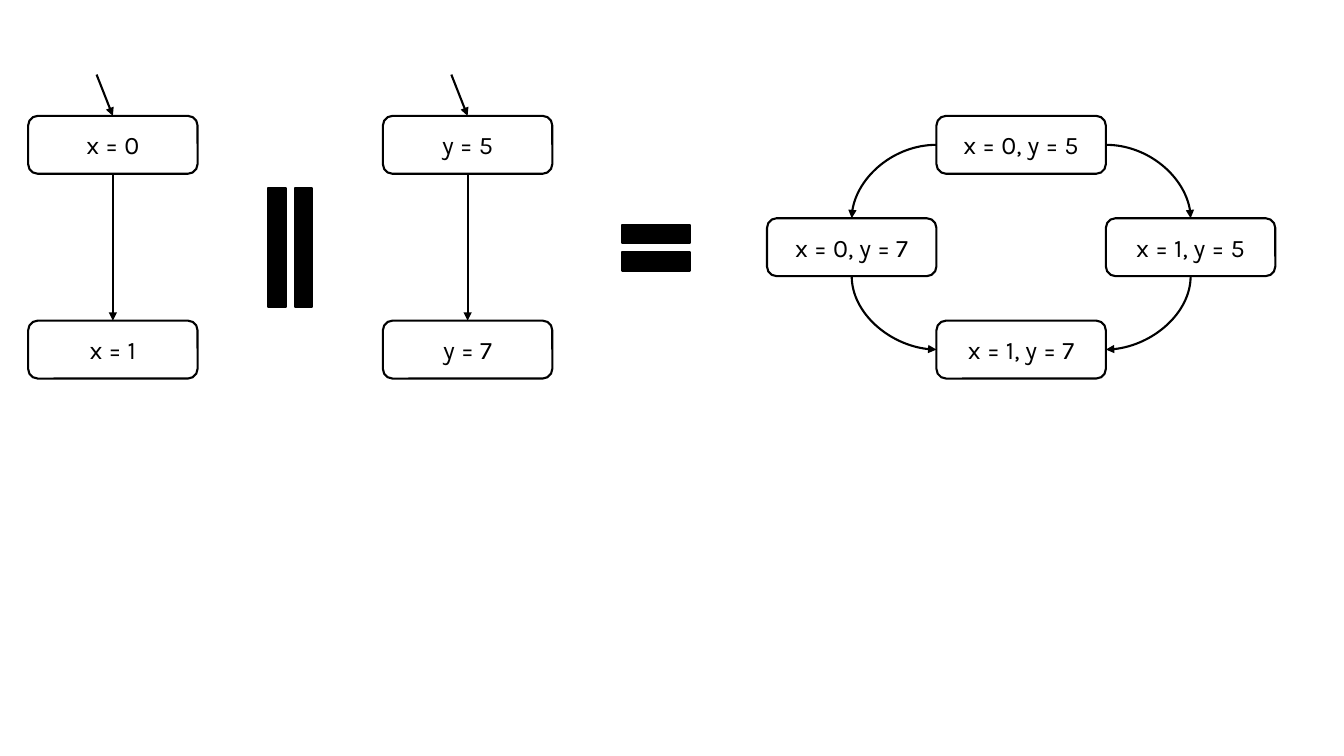
"""Draw two small transition systems and their parallel composition."""
import dataclasses
import typing

import pptx
import pptx.dml.color
import pptx.enum.shapes
import pptx.enum.text
import pptx.oxml
import pptx.oxml.ns
import pptx.util

Cm = pptx.util.Cm
Shapes = pptx.enum.shapes.MSO_SHAPE
Connectors = pptx.enum.shapes.MSO_CONNECTOR

COLORS = {"ink": "000000", "paper": "FFFFFF"}
FONT_FORMAT = {"name": "Karla", "size": pptx.util.Pt(18)}
FRAME_FORMAT = {
    "word_wrap": True,
    "vertical_anchor": pptx.enum.text.MSO_ANCHOR.MIDDLE,
}
SLIDE_FORMAT = {"slide_width": Cm(33.87), "slide_height": Cm(19.05)}
BOX_WIDTH, BOX_HEIGHT = 4.27, 1.46
TOP_ROW, ROW_STEP = 2.92, 2.58
X_LEFT, Y_LEFT, PRODUCT_LEFT = 0.71, 9.65, 23.6
ENTRY_SHIFT, ENTRY_RISE = 0.41, 1.04
TOP, LEFT, BOTTOM, RIGHT = range(4)


@dataclasses.dataclass(frozen=True)
class State:
    label: str
    left: float
    row: int


@dataclasses.dataclass(frozen=True)
class Operator:
    left: float
    top: float
    width: float
    height: float
    rotation: float


@dataclasses.dataclass(frozen=True)
class Transition:
    begin: str
    begin_side: int
    end: str
    end_side: int
    curved: bool = True
    arrow: str = "tailEnd"


STATES = [
    State("x = 0", X_LEFT, 0),
    State("x = 1", X_LEFT, 2),
    State("y = 5", Y_LEFT, 0),
    State("y = 7", Y_LEFT, 2),
    State("x = 0, y = 5", PRODUCT_LEFT, 0),
    State("x = 0, y = 7", PRODUCT_LEFT - BOX_WIDTH, 1),
    State("x = 1, y = 5", PRODUCT_LEFT + BOX_WIDTH, 1),
    State("x = 1, y = 7", PRODUCT_LEFT, 2),
]
INITIAL_STATES = ["x = 0", "y = 5"]
OPERATORS = [
    Operator(5.28, 5.28, 4.06, 1.91, 90),
    Operator(15.37, 5.26, 2.34, 1.96, 0),
]
TRANSITIONS = [
    Transition("x = 0", BOTTOM, "x = 1", TOP, curved=False),
    Transition("y = 5", BOTTOM, "y = 7", TOP, curved=False),
    Transition("x = 0, y = 5", LEFT, "x = 0, y = 7", TOP),
    Transition("x = 0, y = 5", RIGHT, "x = 1, y = 5", TOP),
    Transition("x = 1, y = 7", LEFT, "x = 0, y = 7", BOTTOM, arrow="headEnd"),
    Transition("x = 1, y = 7", RIGHT, "x = 1, y = 5", BOTTOM, arrow="headEnd"),
]


def color(name: str) -> pptx.dml.color.RGBColor:
    """Return a named colour."""
    return pptx.dml.color.RGBColor.from_string(COLORS[name])


def apply_format(target: typing.Any, values: dict[str, typing.Any]) -> None:
    """Set each format value on the target."""
    for name, value in values.items():
        setattr(target, name, value)


def style_line(line: typing.Any) -> None:
    """Give a line the common ink and width."""
    line.color.rgb = color("ink")
    line.width = pptx.util.Pt(1.5)


def add_solid(slide: typing.Any, kind: typing.Any, place: list[float], fill: str) -> typing.Any:
    """Add a filled and outlined preset shape."""
    shape = slide.shapes.add_shape(kind, *map(Cm, place))
    shape.shadow.inherit = False
    shape.fill.solid()
    shape.fill.fore_color.rgb = color(fill)
    style_line(shape.line)
    return shape


def add_state(slide: typing.Any, state: State) -> typing.Any:
    """Add a labelled state box."""
    place = [state.left, TOP_ROW + state.row * ROW_STEP, BOX_WIDTH, BOX_HEIGHT]
    box = add_solid(slide, Shapes.ROUNDED_RECTANGLE, place, "paper")
    apply_format(box.text_frame, FRAME_FORMAT)
    para = box.text_frame.paragraphs[0]
    para.alignment = pptx.enum.text.PP_ALIGN.CENTER
    span = para.add_run()
    span.text = state.label
    apply_format(span.font, FONT_FORMAT)
    span.font.color.rgb = color("ink")
    return box


def add_operator(slide: typing.Any, operator: Operator) -> None:
    """Add a pair of bars as an operator sign."""
    place = [operator.left, operator.top, operator.width, operator.height]
    sign = add_solid(slide, Shapes.MATH_EQUAL, place, "ink")
    sign.rotation = operator.rotation


def style_arrow(connector: typing.Any, arrow: str) -> None:
    """Give a connector its line and arrowhead and drop its shadow."""
    style_line(connector.line)
    properties = connector.element.spPr
    head = pptx.oxml.parse_xml(
        f'<a:{arrow} {pptx.oxml.ns.nsdecls("a")} type="triangle"/>'
    )
    properties.find(pptx.oxml.ns.qn("a:ln")).append(head)
    properties.append(
        pptx.oxml.parse_xml(f'<a:effectLst {pptx.oxml.ns.nsdecls("a")}/>')
    )


def add_entry(slide: typing.Any, box: typing.Any) -> None:
    """Add the short arrow that marks an initial state."""
    middle = box.left + box.width // 2
    connector = slide.shapes.add_connector(
        Connectors.STRAIGHT, middle - Cm(ENTRY_SHIFT), box.top - Cm(ENTRY_RISE), middle, box.top
    )
    connector.end_connect(box, TOP)
    style_arrow(connector, "tailEnd")


def add_transition(slide: typing.Any, boxes: dict[str, typing.Any], step: Transition) -> None:
    """Add an arrow joined to two state boxes."""
    begin, end = boxes[step.begin], boxes[step.end]
    kind = Connectors.CURVE if step.curved else Connectors.STRAIGHT
    connector = slide.shapes.add_connector(kind, begin.left, begin.top, end.left, end.top)
    connector.begin_connect(begin, step.begin_side)
    connector.end_connect(end, step.end_side)
    if step.curved:
        geometry = connector.element.spPr.find(pptx.oxml.ns.qn("a:prstGeom"))
        geometry.set("prst", "curvedConnector2")
    style_arrow(connector, step.arrow)


def main() -> None:
    """Build and save the deck."""
    deck = pptx.Presentation()
    apply_format(deck, SLIDE_FORMAT)
    page = deck.slides.add_slide(deck.slide_layouts[6])
    boxes = {state.label: add_state(page, state) for state in STATES}
    for operator in OPERATORS:
        add_operator(page, operator)
    for label in INITIAL_STATES:
        add_entry(page, boxes[label])
    for step in TRANSITIONS:
        add_transition(page, boxes, step)
    deck.save("out.pptx")


if __name__ == "__main__":
    main()
